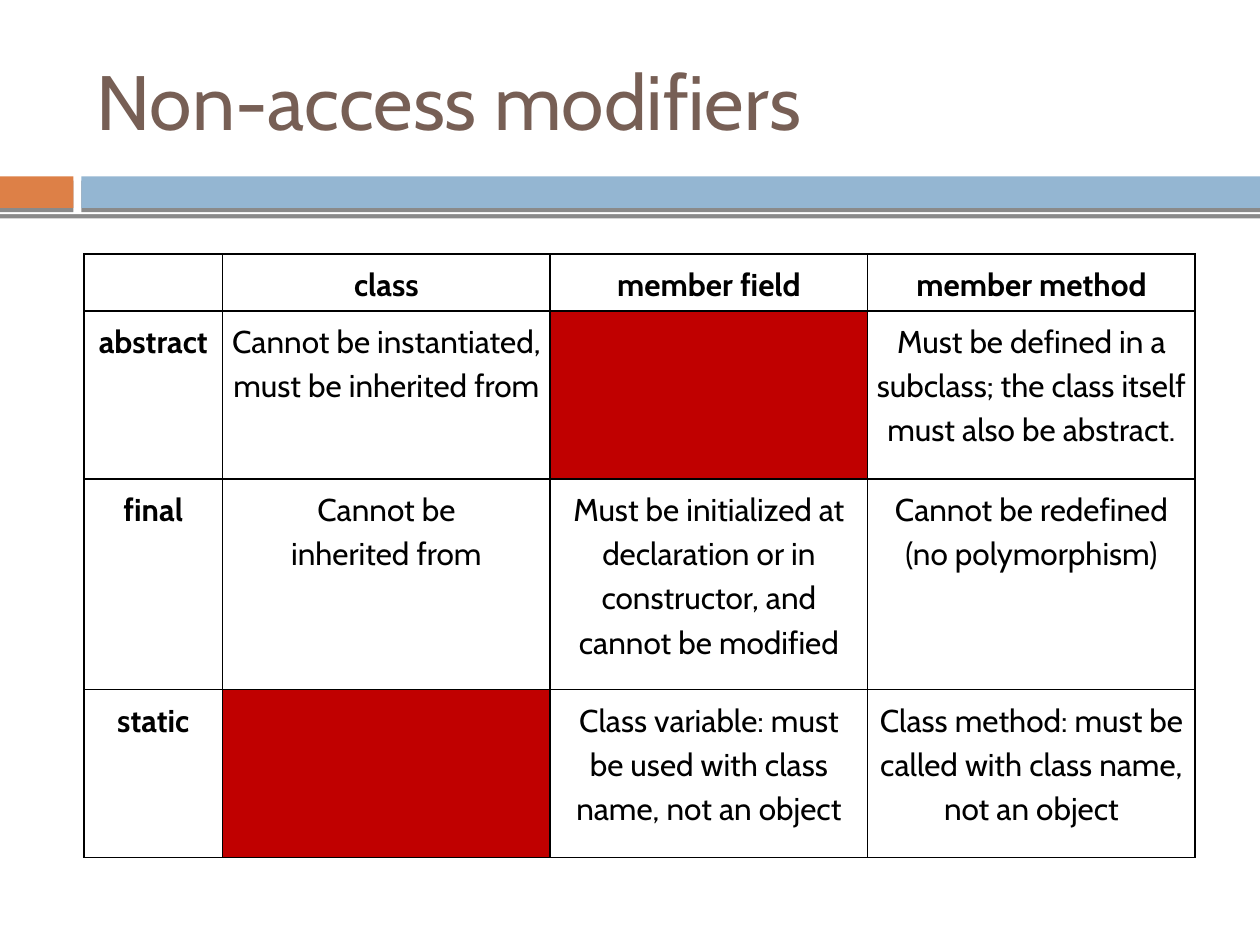
from pptx import Presentation
from pptx.dml.color import RGBColor
from pptx.enum.shapes import MSO_SHAPE as Shape
from pptx.enum.text import MSO_ANCHOR as Anchor, PP_ALIGN as Align
from pptx.oxml import parse_xml
from pptx.oxml.ns import nsdecls
from pptx.util import Pt


def color(code):
    """Turn a hex string into a colour."""
    return RGBColor.from_string(code)


def write(frame, text, size=18, font="Cabin", ink="000000", bold=False,
          align=Align.LEFT, line=None, gap=None, anchor=Anchor.TOP, pad=(7.2, 3.6)):
    """Put formatted text into a text frame."""
    frame.word_wrap = True
    frame.vertical_anchor = anchor
    frame.margin_left = frame.margin_right = Pt(pad[0])
    frame.margin_top = frame.margin_bottom = Pt(pad[1])
    para = frame.paragraphs[0]
    para.text = text
    para.alignment = align
    if line:
        para.line_spacing = line
    if gap is not None:
        para.space_before = para.space_after = Pt(gap)
    for run in para.runs:
        run.font.size, run.font.name, run.font.bold = Pt(size), font, bold
        run.font.color.rgb = color(ink)


class Deck:
    """Holds the style and the current slide."""

    brown, orange, blue = "775F55", "DD8047", "94B6D2"
    white, black, red = "FFFFFF", "000000", "C00000"

    def __init__(self):
        """Start a deck with one title slide."""
        self.file = Presentation()
        self.file.slide_width, self.file.slide_height = Pt(720), Pt(540)
        self.slide = self.file.slides.add_slide(self.file.slide_layouts[5])

    def title(self, text, left, top, width, height):
        """Place and fill the title."""
        box = self.slide.shapes.title
        box.left, box.top, box.width, box.height = map(Pt, (left, top, width, height))
        write(box.text_frame, text, size=44, ink=self.brown, anchor=Anchor.MIDDLE)

    def bar(self, fill, left, top, width, height):
        """Draw a plain bar with a hard shadow below it."""
        bar = self.slide.shapes.add_shape(
            Shape.RECTANGLE, *map(Pt, (left, top, width, height)))
        bar.fill.solid()
        bar.fill.fore_color.rgb = color(fill)
        bar.line.fill.background()
        bar.shadow.inherit = False
        bar.element.spPr.find("{*}effectLst").append(parse_xml(
            f'<a:outerShdw {nsdecls("a")} blurRad="0" dist="{Pt(2.4)}" dir="5400000" '
            f'rotWithShape="0"><a:srgbClr val="{self.black}"><a:alpha val="45000"/>'
            '</a:srgbClr></a:outerShdw>'))

    def edge(self, cell):
        """Give a cell its four borders."""
        props = cell._tc.get_or_add_tcPr()
        for side in "LRTB":
            props.append(parse_xml(
                f'<a:ln{side} {nsdecls("a")} w="{Pt(0.96)}"><a:solidFill>'
                f'<a:srgbClr val="{self.black}"/></a:solidFill></a:ln{side}>'))

    def table(self, data, left, top, cols, rows):
        """Draw a bordered table; a None entry gives a red cell."""
        size = map(Pt, (left, top, sum(cols), sum(rows)))
        grid = self.slide.shapes.add_table(len(rows), len(cols), *size).table
        grid.first_row = grid.horz_banding = False
        for col, width in zip(grid.columns, cols):
            col.width = Pt(width)
        for r, (height, line) in enumerate(zip(rows, data)):
            grid.rows[r].height = Pt(height)
            for c, text in enumerate(line):
                cell = grid.cell(r, c)
                self.edge(cell)
                if text is None:
                    cell.fill.solid()
                    cell.fill.fore_color.rgb = color(self.red)
                else:
                    cell.fill.background()
                if text:
                    self.fill(cell, text, r == 0 or c == 0)

    def fill(self, cell, text, bold):
        """Write centred text into a table cell."""
        cell.margin_left = cell.margin_right = Pt(5)
        cell.margin_top = cell.margin_bottom = Pt(3.6)
        write(cell.text_frame, text, bold=bold, align=Align.CENTER,
              line=1.15, gap=12, pad=(5, 3.6))

    def save(self):
        """Save the deck."""
        self.file.save("out.pptx")


DATA = [
    ["", "class", "member field", "member method"],
    ["abstract", "Cannot be instantiated, must be inherited from", None,
     "Must be defined in a subclass; the class itself must also be abstract."],
    ["final", "Cannot be\vinherited from",
     "Must be initialized at declaration or in constructor, and cannot be modified",
     "Cannot be redefined\v(no polymorphism)"],
    ["static", None, "Class variable: must be used with class name, not an object",
     "Class method: must be called with class name, not an object"],
]

deck = Deck()
deck.bar(deck.white, 0, 97.2, 720, 25.2)
deck.bar(deck.orange, 0, 100.8, 42, 18)
deck.bar(deck.blue, 46.5, 100.8, 673.5, 18)
deck.title("Non-access modifiers", 48, 18, 642, 78)
deck.table(DATA, 48, 145.2, cols=[79.2, 187.2, 181.4, 187.2], rows=[29.5, 96, 120.4, 96])
deck.save()
